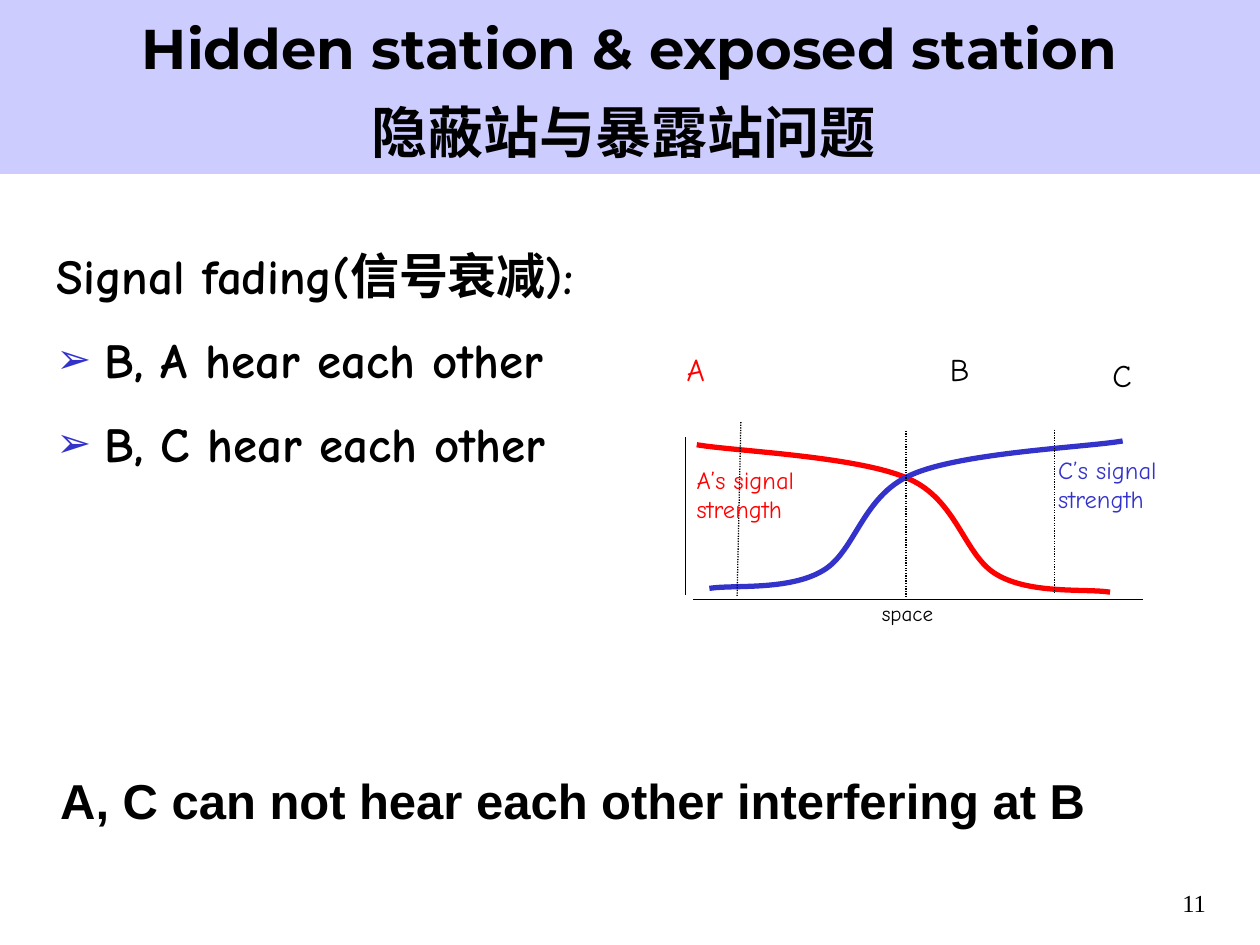
import pptx
import pptx.util
import pptx.dml.color
import pptx.enum.dml
import pptx.enum.shapes
import pptx.enum.text
import pptx.oxml
import pptx.oxml.ns

RGBColor = pptx.dml.color.RGBColor
Pt = pptx.util.Pt
Align = pptx.enum.text.PP_ALIGN

BLACK = RGBColor(0x00, 0x00, 0x00)
RED = RGBColor(0xFF, 0x00, 0x00)
BLUE = RGBColor(0x33, 0x33, 0xCC)
LAVENDER = RGBColor(0xCC, 0xCC, 0xFF)
HAND = "Comic Neue"
NS = pptx.oxml.ns.nsdecls("a")

# The slide is a grid of 100 columns by 75 rows
CELL = pptx.util.Inches(0.1)
COLUMNS, ROWS = 100, 75

# Signal of station A: start, then two controls and an end for each cubic
A_SIGNAL = [
    (55.3, 35.3),
    (58.1, 35.8), (68.1, 36.2), (72.1, 38.0),
    (76.0, 39.7), (76.5, 44.1), (79.1, 45.6),
    (81.8, 47.2), (86.2, 46.7), (88.1, 47.0),
]
# Signal of station C mirrors it, slightly higher
C_SIGNAL = [(144.4 - x, y - 0.3) for x, y in A_SIGNAL]


def grid(*cells):
    return [round(cell * CELL) for cell in cells]


def write(frame, lines, size, font, color, bold=False, align=Align.LEFT):
    frame.text = "\n".join(lines)
    frame.auto_size = pptx.enum.text.MSO_AUTO_SIZE.NONE
    frame.vertical_anchor = pptx.enum.text.MSO_ANCHOR.TOP
    for paragraph in frame.paragraphs:
        paragraph.alignment = align
        for run in paragraph.runs:
            run.font.size = Pt(size)
            run.font.name = font
            run.font.bold = bold
            run.font.color.rgb = color


def add_text(shapes, box, lines, size, font, color=BLACK, wrap=True, **style):
    frame = shapes.add_textbox(*grid(*box)).text_frame
    frame.word_wrap = wrap
    write(frame, lines, size, font, color, **style)
    return frame


def space_lines(frame, before, after=0):
    for index, paragraph in enumerate(frame.paragraphs):
        paragraph.line_spacing = 1.1
        paragraph.space_before = Pt(before if index else 0)
        paragraph.space_after = Pt(after)


def indent(paragraph, bullet=None):
    hang = pptx.util.Inches(0.38)
    properties = paragraph._p.get_or_add_pPr()
    properties.set("marL", str(hang))
    properties.set("indent", str(-hang))
    if bullet:
        for xml in (
            f'<a:buClr {NS}><a:srgbClr val="{BLUE}"/></a:buClr>',
            f'<a:buSzPct {NS} val="85000"/>',
            f'<a:buFont {NS} typeface="Arial"/>',
            f'<a:buChar {NS} char="{bullet}"/>',
        ):
            properties.append(pptx.oxml.parse_xml(xml))


def add_line(shapes, start, end, dotted=False):
    line = shapes.add_connector(
        pptx.enum.shapes.MSO_CONNECTOR.STRAIGHT, *grid(*start, *end))
    line.line.color.rgb = BLACK
    line.line.width = Pt(0.75)
    if dotted:
        line.line.dash_style = pptx.enum.dml.MSO_LINE.ROUND_DOT
    line._element.spPr.append(pptx.oxml.parse_xml(f"<a:effectLst {NS}/>"))


def add_curve(shapes, points, color):
    start, *rest = [grid(*point) for point in points]
    builder = shapes.build_freeform(*start)
    builder.add_line_segments(rest[2::3], close=False)
    curve = builder.convert_to_shape()

    # Turn each straight segment into a cubic one
    segments = curve._element.spPr.findall(".//" + pptx.oxml.ns.qn("a:lnTo"))
    for index, segment in enumerate(segments):
        cubic = "".join(
            f'<a:pt x="{x - curve.left}" y="{y - curve.top}"/>'
            for x, y in rest[3 * index:3 * index + 3])
        segment.getparent().replace(segment, pptx.oxml.parse_xml(
            f"<a:cubicBezTo {NS}>{cubic}</a:cubicBezTo>"))

    curve.fill.background()
    curve.line.color.rgb = color
    curve.line.width = Pt(3)
    curve.shadow.inherit = False


def add_title(slide):
    title = slide.shapes.title
    title.left, title.top, title.width, title.height = grid(0, 0, COLUMNS, 13.8)
    title.fill.solid()
    title.fill.fore_color.rgb = LAVENDER
    write(title.text_frame, ["Hidden station & exposed station", "隐蔽站与暴露站问题 "],
          32, "Montserrat", BLACK, bold=True, align=Align.CENTER)
    space_lines(title.text_frame, before=6)


def add_points(slide):
    points = add_text(
        slide.shapes, (3.5, 18.5, 47.4, 51.4),
        ["Signal fading(信号衰减):", "B, A hear each other", "B, C hear each other"],
        28, HAND, bold=True)
    space_lines(points, before=5.6, after=5.6)
    heading, *items = points.paragraphs
    indent(heading)
    for item in items:
        indent(item, "➢")


def add_signal_diagram(slide):
    shapes = slide.shapes.add_group_shape().shapes

    # Axes
    add_line(shapes, (55, 47.6), (90.7, 47.6))
    add_line(shapes, (54.4, 34.7), (54.4, 47.2))

    # Signal strengths
    add_curve(shapes, A_SIGNAL, RED)
    add_curve(shapes, C_SIGNAL, BLUE)

    # Station positions
    for start, end in (((58.8, 33.5), (58.5, 47.3)),
                       ((71.9, 34.2), (71.9, 47.4)),
                       ((83.7, 34.1), (83.7, 47))):
        add_line(shapes, start, end, dotted=True)

    # Labels
    for box, lines, size, color in (
        ((53.5, 27.3, 3.8, 4), ["A"], 18, RED),
        ((74.4, 27.3, 3.6, 4), ["B"], 18, BLACK),
        ((87.3, 27.8, 3.5, 4), ["C"], 18, BLACK),
        ((54.3, 36.4, 10.4, 5.7), ["A’s signal", "strength"], 14, RED),
        ((83, 35.6, 10.1, 5.7), ["C’s signal", "strength"], 14, BLUE),
        ((69, 47.2, 6.3, 3), ["space"], 12, BLACK),
    ):
        add_text(shapes, box, lines, size, HAND, color, wrap=False)


def main():
    deck = pptx.Presentation()
    deck.slide_width, deck.slide_height = grid(COLUMNS, ROWS)
    slide = deck.slides.add_slide(deck.slide_layouts.get_by_name("Title Only"))

    add_title(slide)
    add_points(slide)
    add_signal_diagram(slide)

    # Conclusion and page number
    add_text(slide.shapes, (3.8, 60.7, 94.6, 5.7),
             ["A, C can not hear each other interfering at B"],
             28, "Arial", bold=True)
    add_text(slide.shapes, (89.3, 70, 7.4, 5), ["11"], 14, "Times New Roman",
             align=Align.RIGHT)

    deck.save("out.pptx")


if __name__ == "__main__":
    main()
